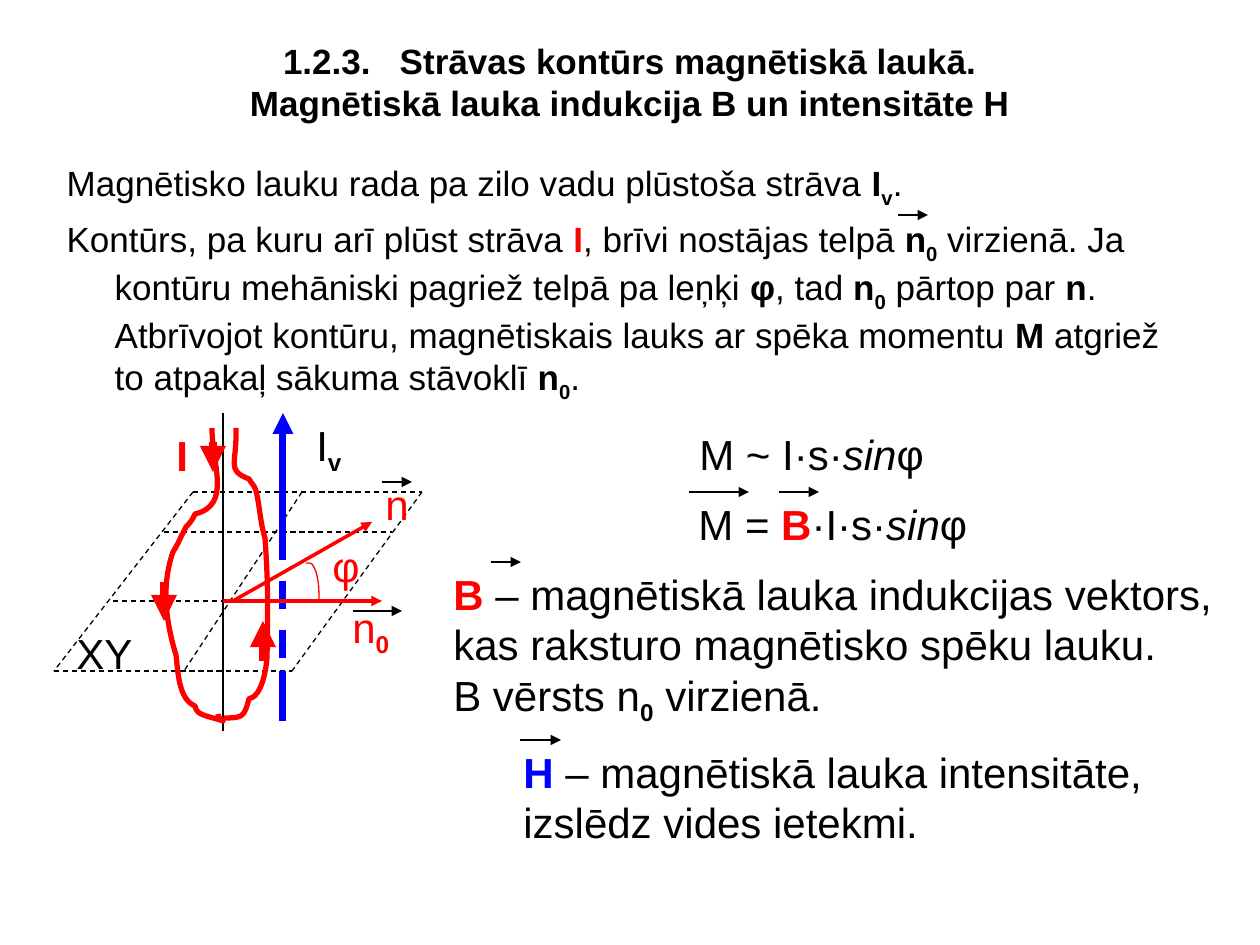
from lxml import etree
from pptx import Presentation
from pptx import util as u
from pptx.dml.color import RGBColor
from pptx.enum import dml, shapes, text
from pptx.oxml.ns import qn

PX = 914400 / 126
HUES = {"ink": "000000", "red": "FF0000", "blue": "0000FF"}


def emu(n):
    return u.Emu(round(n * PX))


def hue(name):
    return RGBColor.from_string(HUES[name])


def write(para, runs, size):
    """Add runs of (words, style, colour); style letters: b bold, i italic, s subscript."""
    for words, style, tint in (tuple(r) + ("", "ink")[len(r) - 1:] for r in runs):
        run = para.add_run()
        run.text = words
        font = run.font
        font.name, font.size = "Arial", u.Pt(size)
        font.bold, font.italic = "b" in style, "i" in style
        font.color.rgb = hue(tint)
        if "s" in style:
            run._r.get_or_add_rPr().set("baseline", "-25000")


def place(shape, x, y, w, h):
    shape.left, shape.top, shape.width, shape.height = map(emu, (x, y, w, h))


def label(slide, box, paras, wrap=False):
    frame = slide.shapes.add_textbox(*map(emu, box)).text_frame
    frame.word_wrap = wrap
    frame.auto_size = text.MSO_AUTO_SIZE.SHAPE_TO_FIT_TEXT
    for i, runs in enumerate(paras):
        para = frame.add_paragraph() if i else frame.paragraphs[0]
        write(para, runs, 24)


def line(slide, x1, y1, x2, y2, tint="ink", width=0.75, dash=False, head=False):
    link = slide.shapes.add_connector(
        shapes.MSO_CONNECTOR.STRAIGHT, *map(emu, (x1, y1, x2, y2)))
    link.line.color.rgb = hue(tint)
    link.line.width = u.Pt(width)
    if dash:
        link.line.dash_style = dml.MSO_LINE.DASH
    if head:
        etree.SubElement(link.line._get_or_add_ln(), qn("a:tailEnd"), type="triangle")
    etree.SubElement(link._element.spPr, qn("a:effectLst"))


def curve(slide, x, y, width, knots):
    """Draw joined cubic curves: a start point, then three points for each."""
    first, *rest = [(emu(x + a), emu(y + b)) for a, b in knots]
    pen = slide.shapes.build_freeform(*first)
    pen.add_line_segments(rest, close=False)
    shape = pen.convert_to_shape()
    legs = list(shape._element.iter(qn("a:lnTo")))
    for i in range(0, len(legs), 3):
        cubic = etree.Element(qn("a:cubicBezTo"))
        legs[i].addprevious(cubic)
        for leg in legs[i:i + 3]:
            cubic.append(leg[0])
            leg.getparent().remove(leg)
    shape.shadow.inherit = False
    shape.fill.background()
    shape.line.color.rgb = hue("red")
    shape.line.width = u.Pt(width)


def title(slide, box):
    head = slide.shapes.title
    place(head, *box)
    frame = head.text_frame
    frame.auto_size = text.MSO_AUTO_SIZE.NONE
    frame.vertical_anchor = text.MSO_ANCHOR.MIDDLE
    para = frame.paragraphs[0]
    para.alignment = text.PP_ALIGN.CENTER
    write(para, [("1.2.3.   Strāvas kontūrs magnētiskā laukā.", "b")], 20)
    para.add_line_break()
    write(para, [("Magnētiskā lauka indukcija B un intensitāte H", "b")], 20)


def body(slide, box):
    hold = slide.placeholders[1]
    place(hold, *box)
    frame = hold.text_frame
    frame.auto_size = text.MSO_AUTO_SIZE.NONE
    zero = [("n", "b"), ("0", "bs")]
    paras = [
        [("Magnētisko lauku rada pa zilo vadu plūstoša strāva ",),
         ("I", "b"), ("v", "bs"), (".",)],
        [("Kontūrs, pa kuru arī plūst strāva ",), ("I", "b", "red"),
         (", brīvi nostājas telpā ",), *zero,
         (" virzienā. Ja kontūru mehāniski pagriež telpā pa leņķi ",),
         ("φ", "b"), (", tad ",), *zero, (" pārtop par ",), ("n", "b"),
         (". Atbrīvojot kontūru, magnētiskais lauks ar spēka momentu ",),
         ("M", "b"), (" atgriež to atpakaļ sākuma stāvoklī ",), *zero, (".",)],
    ]
    for i, runs in enumerate(paras):
        para = frame.add_paragraph() if i else frame.paragraphs[0]
        props = para._p.get_or_add_pPr()
        props.set("marL", str(emu(48)))
        props.set("indent", str(-emu(48)))
        etree.SubElement(props, qn("a:buNone"))
        para.space_before = u.Pt(5 if i else 0)
        write(para, runs, 20)
    x, y = box[:2]
    line(slide, x + 844, y + 60, x + 874, y + 60, head=True)


def sums(slide, x, y):
    tail = [("sin", "i"), ("φ",)]
    label(slide, (x + 1, y, 250, 63), [[("M ~ I·s·",), *tail]])
    label(slide, (x, y + 70, 294, 113),
          [[("M = ",), ("B", "b", "red"), ("·I·s·",), *tail]])
    for a, b in ((3, 63), (93, 133)):
        line(slide, x + a, y + 70, x + b, y + 70, head=True)


def term(slide, box, paras, start, end):
    """Place a definition with a vector arrow along its top edge."""
    label(slide, box, paras, wrap=True)
    x, y = box[:2]
    line(slide, x + start, y, x + end, y, head=True)


def plane(slide, x, y):
    for a, b, c, d in ((139, 79, 368, 79), (139, 79, 0, 258), (0, 258, 238, 258),
                       (368, 79, 238, 258), (110, 119, 338, 119),
                       (59, 188, 289, 188), (248, 79, 130, 258)):
        line(slide, x + a, y + b, x + c, y + d, dash=True)


def wires(slide, x, y):
    wire = x + 229
    line(slide, wire, y + 119, wire, y, "blue", 4, head=True)
    line(slide, wire, y + 119, wire, y + 258, "blue", 4, dash=True)
    line(slide, wire, y + 258, wire, y + 308, "blue", 4)
    for top, end in ((0, 188), (178, 318)):
        line(slide, x + 169, y + top, x + 169, y + end)


def loop(slide, x, y):
    curve(slide, x, y, 3, [
        (158, 15), (158, 52), (178, 92), (141, 101), (139, 106), (136, 110),
        (132, 114), (131, 116), (129, 120), (129, 120), (127, 122), (127, 125),
        (126, 126), (124, 131), (119, 139), (119, 139), (107, 173), (112, 209),
        (122, 242), (124, 257), (124, 286), (141, 293), (143, 295), (141, 298),
        (144, 299), (148, 303), (165, 306), (169, 308), (164, 303), (164, 305),
        (164, 301)])
    curve(slide, x, y, 3, [
        (182, 15), (183, 52), (172, 57), (195, 66), (197, 70), (201, 73),
        (202, 78), (206, 94), (206, 109), (211, 125), (214, 168), (214, 193),
        (213, 245), (212, 257), (208, 283), (195, 286), (190, 304), (189, 305),
        (170, 305)])
    for a, b, d in ((159, 29, 59), (110, 169, 208), (209, 248, 208)):
        line(slide, x + a, y + b, x + a, y + d, "red", 5, head=True)


def norms(slide, x, y):
    line(slide, x + 169, y + 188, x + 328, y + 188, "red", 2, head=True)
    line(slide, x + 179, y + 188, x + 318, y + 109, "red", 2, head=True)
    curve(slide, x, y, 0.75, [(252, 150), (255, 150), (257, 150), (258, 151),
                              (265, 160), (265, 177), (265, 186)])
    for a, b, c in ((328, 69, 358), (299, 198, 348)):
        line(slide, x + a, y + b, x + c, y + b, head=True)


def names(slide, x, y):
    for a, b, w, h, runs in (
            (250, 0, 50, 71, [("I",), ("v", "bs")]),
            (110, 10, 37, 63, [("I", "b", "red")]),
            (266, 121, 52, 63, [("φ", "", "red")]),
            (286, 182, 62, 71, [("n", "", "red"), ("0", "bs", "red")]),
            (319, 59, 48, 63, [("n", "", "red")]),
            (10, 208, 81, 63, [("XY",)])):
        label(slide, (x + a, y + b, w, h), [runs])


def main():
    deck = Presentation()
    deck.slide_width, deck.slide_height = emu(1260), emu(945)
    slide = deck.slides.add_slide(deck.slide_layouts[1])
    title(slide, (63, 38, 1134, 87))
    body(slide, (54, 155, 1153, 709))
    sums(slide, 686, 422)
    term(slide, (441, 562, 794, 171), [
        [("B", "b", "red"), (" – magnētiskā lauka indukcijas vektors,",)],
        [("kas raksturo magnētisko spēku lauku.",)],
        [("B vērsts n",), ("0", "bs"), (" virzienā.",)]], 50, 80)
    term(slide, (511, 740, 704, 113), [
        [("H", "b", "blue"), (" – magnētiskā lauka intensitāte,",)],
        [("izslēdz vides ietekmi.",)]], 9, 50)
    for part in (plane, wires, loop, norms, names):
        part(slide, 54, 413)
    deck.save("out.pptx")


if __name__ == "__main__":
    main()
